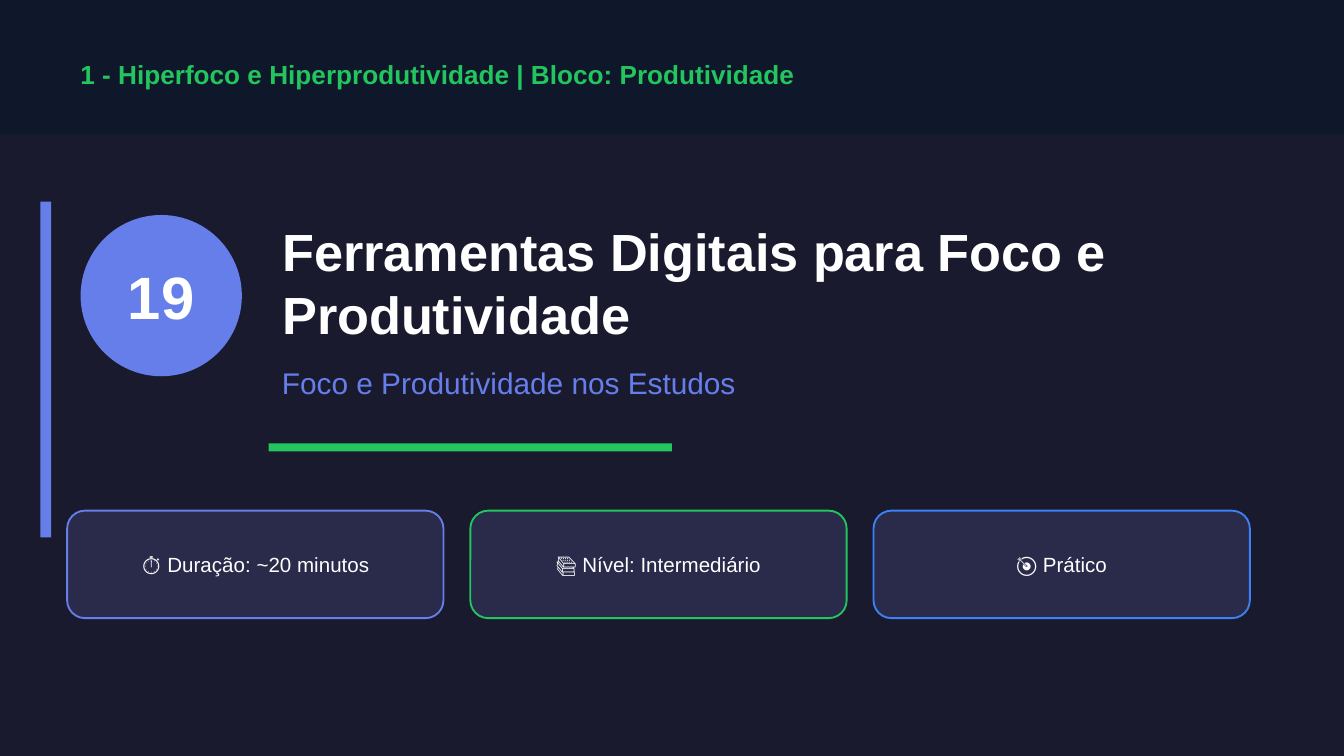
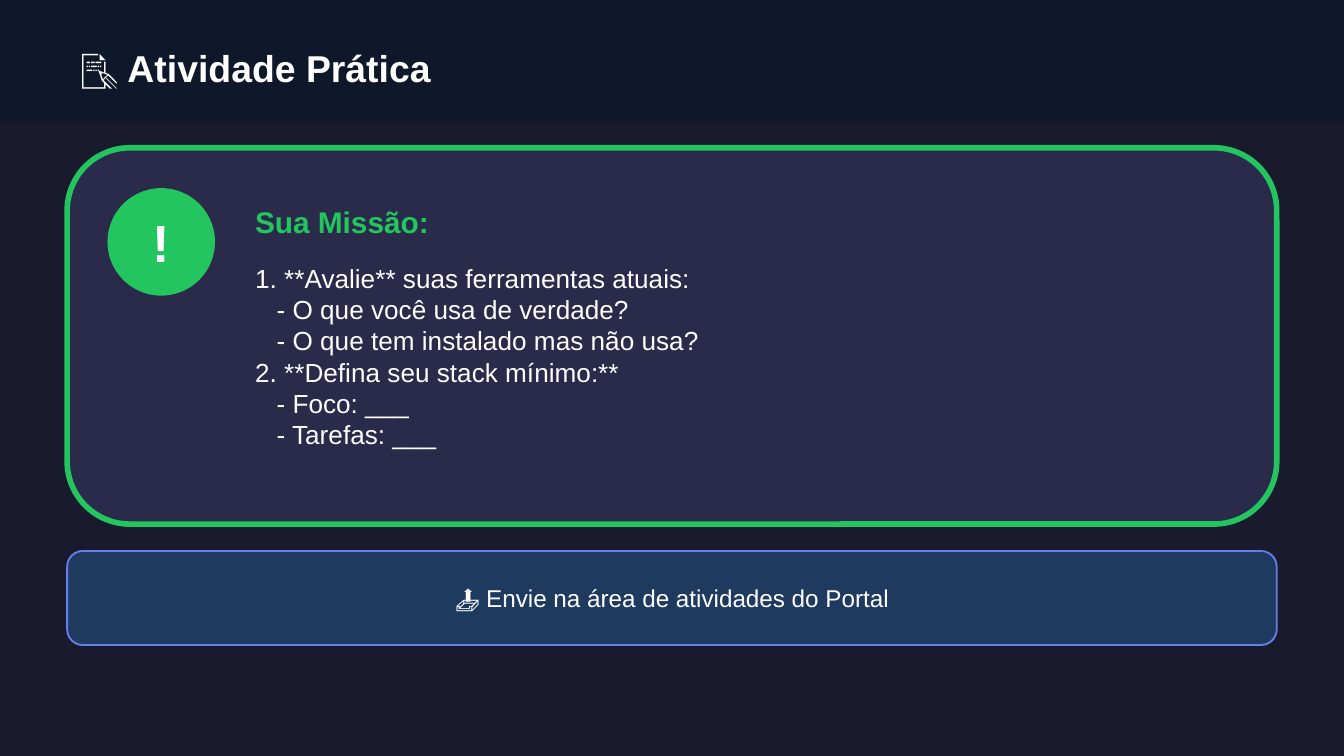
from pptx import Presentation
from pptx import util as u
from pptx.dml import color
from pptx.enum import shapes, text

NIGHT, BAND, CARD, OCEAN = "1A1A2E", "0F172A", "2A2A4A", "1E3A5F"
GREEN, INDIGO, BLUE, WHITE = "22C55E", "667EEA", "3B82F6", "FFFFFF"
RECT = shapes.MSO_SHAPE.RECTANGLE
ROUND = shapes.MSO_SHAPE.ROUNDED_RECTANGLE
OVAL = shapes.MSO_SHAPE.OVAL
LEFT, CENTER = text.PP_ALIGN.LEFT, text.PP_ALIGN.CENTER
MIDDLE, TOP = text.MSO_ANCHOR.MIDDLE, text.MSO_ANCHOR.TOP


def panel(slide, kind, box, fill, outline=None, weight=1):
    shape = slide.shapes.add_shape(kind, *map(u.Inches, box))
    shape.shadow.inherit = False
    shape.fill.solid()
    shape.fill.fore_color.rgb = color.RGBColor.from_string(fill)
    if outline:
        shape.line.color.rgb = color.RGBColor.from_string(outline)
        shape.line.width = u.Pt(weight)
    else:
        shape.line.fill.background()


def write(slide, box, words, size, ink=WHITE, bold=False, align=LEFT, anchor=MIDDLE, title=False):
    if title:
        holder = slide.shapes.title
        slide.shapes._spTree.append(holder._element)
        holder.left, holder.top, holder.width, holder.height = map(u.Inches, box)
    else:
        holder = slide.shapes.add_textbox(*map(u.Inches, box))
    frame = holder.text_frame
    frame.text = words
    frame.word_wrap = True
    frame.auto_size = text.MSO_AUTO_SIZE.NONE
    frame.vertical_anchor = anchor
    for paragraph in frame.paragraphs:
        paragraph.alignment = align
        paragraph.font.name = "Arial"
        paragraph.font.size = u.Pt(size)
        paragraph.font.bold = bold
        paragraph.font.color.rgb = color.RGBColor.from_string(ink)
    return frame


deck = Presentation()
deck.slide_width, deck.slide_height = u.Inches(10), u.Inches(5.625)
background = deck.slide_master.background.fill
background.solid()
background.fore_color.rgb = color.RGBColor.from_string(NIGHT)
title_only = deck.slide_layouts[5]

cover = deck.slides.add_slide(title_only)
panel(cover, RECT, (0, 0, 10, 1), BAND)
write(cover, (0.5, 0.35, 9, 0.4), "1 - Hiperfoco e Hiperprodutividade | Bloco: Produtividade",
      14, GREEN, bold=True)
panel(cover, RECT, (0.3, 1.5, 0.08, 2.5), INDIGO)
panel(cover, OVAL, (0.6, 1.6, 1.2, 1.2), INDIGO)
write(cover, (0.6, 1.85, 1.2, 0.7), "19", 32, bold=True, align=CENTER)
write(cover, (2, 1.6, 7.5, 1), "Ferramentas Digitais para Foco e Produtividade",
      28, bold=True, title=True)
write(cover, (2, 2.6, 7.5, 0.5), "Foco e Produtividade nos Estudos", 16, INDIGO)
panel(cover, RECT, (2, 3.3, 3, 0.06), GREEN)

facts = [("⏱ Duração: ~20 minutos", INDIGO), ("📚 Nível: Intermediário", GREEN), ("🎯 Prático", BLUE)]
for column, (fact, outline) in enumerate(facts):
    left = 0.5 + 3 * column
    panel(cover, ROUND, (left, 3.8, 2.8, 0.8), CARD, outline)
    write(cover, (left, 3.95, 2.8, 0.5), fact, 11, align=CENTER)

activity = deck.slides.add_slide(title_only)
panel(activity, RECT, (0, 0, 10, 0.9), BAND)
write(activity, (0.5, 0.25, 9, 0.5), "📝 Atividade Prática", 20, bold=True, title=True)
panel(activity, ROUND, (0.5, 1.1, 9, 2.8), CARD, GREEN, 3)
panel(activity, OVAL, (0.8, 1.4, 0.8, 0.8), GREEN)
write(activity, (0.8, 1.5, 0.8, 0.6), "!", 28, bold=True, align=CENTER)
write(activity, (1.8, 1.4, 7.5, 0.5), "Sua Missão:", 16, GREEN, bold=True)

steps = [
    "1. **Avalie** suas ferramentas atuais:",
    "- O que você usa de verdade?",
    "- O que tem instalado mas não usa?",
    "2. **Defina seu stack mínimo:**",
    "- Foco: ___",
    "- Tarefas: ___",
]
mission = write(activity, (1.8, 1.9, 7.4, 1.8), "\n".join(steps), 14, anchor=TOP)
for step in mission.paragraphs:
    if step.text.startswith("-"):
        step._p.get_or_add_pPr().set("marL", str(u.Inches(0.16)))

panel(activity, ROUND, (0.5, 4.1, 9, 0.7), OCEAN, INDIGO)
write(activity, (0.5, 4.25, 9, 0.4), "📤 Envie na área de atividades do Portal", 13, align=CENTER)

deck.save("out.pptx")
